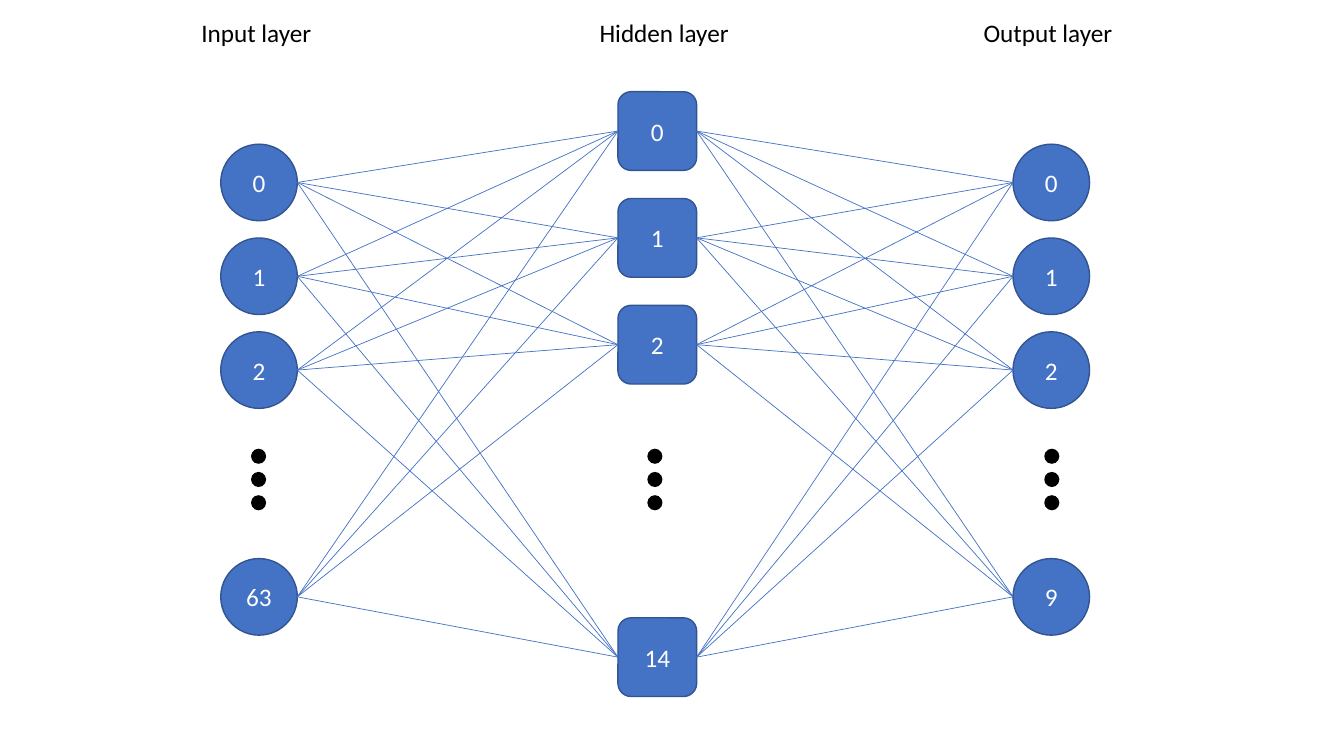
from dataclasses import dataclass
from itertools import product

from pptx import Presentation
from pptx.dml.color import RGBColor
from pptx.enum.shapes import MSO_CONNECTOR as Connector, MSO_SHAPE as Preset
from pptx.enum.text import MSO_ANCHOR as Anchor, MSO_AUTO_SIZE as AutoSize, PP_ALIGN as Align
from pptx.oxml.ns import qn
from pptx.util import Pt
from lxml.etree import SubElement


@dataclass(frozen=True)
class Theme:
    """Colours, font and sizes shared by the whole slide."""
    node: RGBColor = RGBColor(0x44, 0x72, 0xC4)
    outline: RGBColor = RGBColor(0x32, 0x54, 0x91)
    ink: RGBColor = RGBColor(0, 0, 0)
    paper: RGBColor = RGBColor(255, 255, 255)
    font: str = "Calibri"
    text_size: float = 18
    outline_width: float = 1
    link_width: float = 0.5


@dataclass(frozen=True)
class Box:
    """A rectangle in points."""
    left: float
    top: float
    width: float
    height: float

    def points(self):
        """Return the four lengths as Pt values."""
        return [Pt(length) for length in (self.left, self.top, self.width, self.height)]


@dataclass(frozen=True)
class Layer:
    """One column of the network."""
    title: str
    title_box: Box
    box: Box
    pitch: float
    preset: Preset
    labels: tuple
    dots_box: Box

    def node_boxes(self):
        """Return evenly pitched node boxes, the last at the bottom of the column."""
        size = self.box.width
        offsets = [row * self.pitch for row in range(len(self.labels) - 1)]
        offsets.append(self.box.height - size)
        return [Box(self.box.left, self.box.top + offset, size, size) for offset in offsets]


THEME = Theme()
TITLE_TOP, TITLE_HEIGHT = 8.64, 28.8
DOTS_TOP, DOTS_HEIGHT, DOT_SIZE, DOT_COUNT = 320.5, 44, 10.8, 3

LAYERS = [
    Layer("Input layer", Box(136.8, TITLE_TOP, 96.5, TITLE_HEIGHT),
          Box(157.7, 103, 54.7, 350.7), 67, Preset.OVAL, ("0", "1", "2", "63"),
          Box(179.3, DOTS_TOP, DOT_SIZE, DOTS_HEIGHT)),
    Layer("Hidden layer", Box(421.2, TITLE_TOP, 110.9, TITLE_HEIGHT),
          Box(441.4, 65.5, 56.2, 432), 76.3, Preset.ROUNDED_RECTANGLE, ("0", "1", "2", "14"),
          Box(462.4, DOTS_TOP, DOT_SIZE, DOTS_HEIGHT)),
    Layer("Output layer", Box(695.5, TITLE_TOP, 110.9, TITLE_HEIGHT),
          Box(723.6, 103, 54.7, 350.7), 67, Preset.OVAL, ("0", "1", "2", "9"),
          Box(745.9, DOTS_TOP, DOT_SIZE, DOTS_HEIGHT)),
]


def write_text(text_frame, text, color, align):
    """Write one line of text in the theme font."""
    text_frame.text = text
    paragraph = text_frame.paragraphs[0]
    paragraph.alignment = align
    font = paragraph.runs[0].font
    font.name, font.size = THEME.font, Pt(THEME.text_size)
    font.color.rgb = color


def add_filled(shapes, preset, box, color):
    """Add a flat filled shape."""
    shape = shapes.add_shape(preset, *box.points())
    shape.shadow.inherit = False
    shape.fill.solid()
    shape.fill.fore_color.rgb = color
    return shape


def add_title(slide, box, title):
    """Add the heading of a layer."""
    text_frame = slide.shapes.add_textbox(*box.points()).text_frame
    text_frame.word_wrap = True
    text_frame.auto_size = AutoSize.SHAPE_TO_FIT_TEXT
    write_text(text_frame, title, THEME.ink, Align.LEFT)


def add_nodes(slide, layer):
    """Add the labelled nodes of a layer."""
    for box, label in zip(layer.node_boxes(), layer.labels):
        shape = add_filled(slide.shapes, layer.preset, box, THEME.node)
        shape.line.color.rgb = THEME.outline
        shape.line.width = Pt(THEME.outline_width)
        shape.text_frame.vertical_anchor = Anchor.MIDDLE
        write_text(shape.text_frame, label, THEME.paper, Align.CENTER)


def add_dots(slide, box):
    """Add a grouped vertical ellipsis that fills the box."""
    group = slide.shapes.add_group_shape()
    pitch = (box.height - box.width) / (DOT_COUNT - 1)
    for row in range(DOT_COUNT):
        dot_box = Box(box.left, box.top + row * pitch, box.width, box.width)
        dot = add_filled(group.shapes, Preset.OVAL, dot_box, THEME.ink)
        dot.line.fill.background()


def add_links(slide, source, target):
    """Join every node of one layer to every node of the next."""
    for start, end in product(source.node_boxes(), target.node_boxes()):
        link = slide.shapes.add_connector(
            Connector.STRAIGHT,
            Pt(start.left + start.width), Pt(start.top + start.height / 2),
            Pt(end.left), Pt(end.top + end.height / 2))
        link.line.color.rgb = THEME.node
        link.line.width = Pt(THEME.link_width)
        SubElement(link._element.spPr, qn("a:effectLst"))


def build_network(slide, layers):
    """Place all layers, then the links and the ellipses."""
    for layer in layers:
        add_nodes(slide, layer)
    for layer in layers:
        add_title(slide, layer.title_box, layer.title)
    for source, target in zip(layers, layers[1:]):
        add_links(slide, source, target)
    for layer in layers:
        add_dots(slide, layer.dots_box)


def main():
    """Build and save the presentation."""
    presentation = Presentation()
    presentation.slide_width, presentation.slide_height = Pt(960), Pt(540)
    slide = presentation.slides.add_slide(presentation.slide_layouts[6])
    build_network(slide, LAYERS)
    presentation.save("out.pptx")


main()
